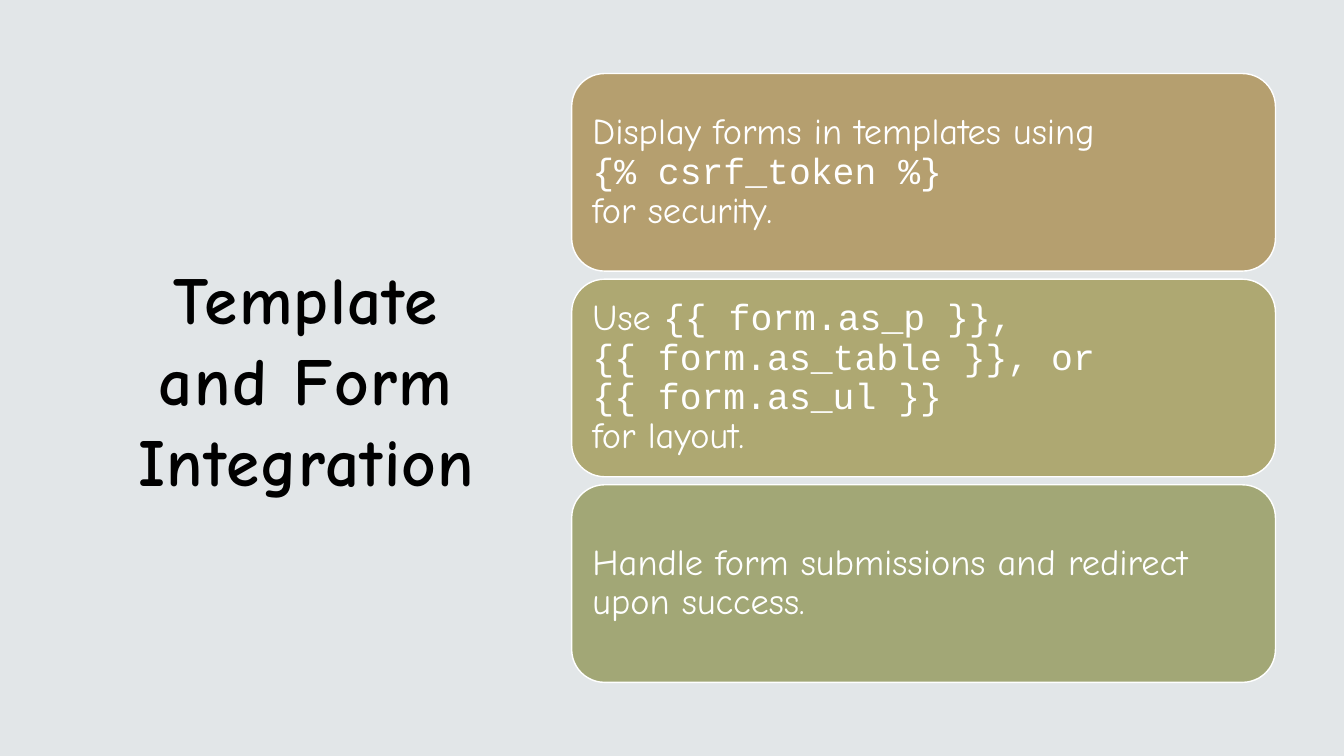
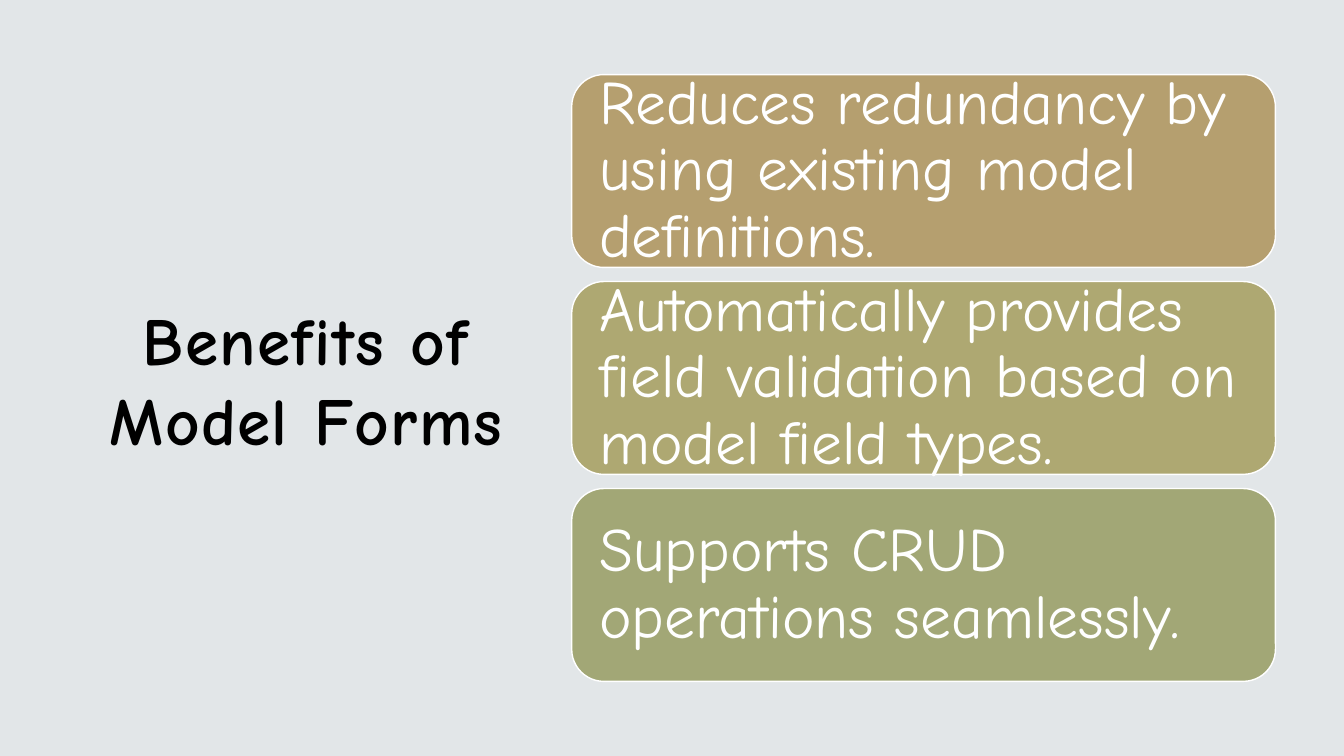
"""Build two slides that each pair a title with a stack of three cards."""
from pptx import Presentation
from pptx.dml.color import RGBColor
from pptx.enum.shapes import MSO_SHAPE
from pptx.enum.text import MSO_ANCHOR, MSO_AUTO_SIZE, PP_ALIGN
from pptx.util import Inches, Pt

COLORS = {
    "background": "E2E6E8",
    "title": "000000",
    "card_text": "FFFFFF",
    "card_border": "FFFFFF",
    "sand": "B59F6F",
    "olive": "AEA872",
    "sage": "A2A776",
}
CARD_FILLS = ("sand", "olive", "sage")
PROSE, CODE = "Comic Neue", "Courier New"
TITLE_BOX = (0.97, 1.07, 4.14, 5.37)

INTEGRATION_CARDS = [
    [
        [("Display forms in templates using", PROSE)],
        [("{% csrf_token %}", CODE)],
        [("for security.", PROSE)],
    ],
    [
        [("Use ", PROSE), ("{{ form.as_p }},", CODE)],
        [("{{ form.as_table }}, or", CODE)],
        [("{{ form.as_ul }}", CODE)],
        [("for layout.", PROSE)],
    ],
    [[("Handle form submissions and redirect upon success.", PROSE)]],
]
BENEFIT_CARDS = [
    [[("Reduces redundancy by using existing model definitions.", PROSE)]],
    [[("Automatically provides field validation based on model field types.", PROSE)]],
    [[("Supports CRUD operations seamlessly.", PROSE)]],
]


def rgb(name):
    """Return the palette colour of that name."""
    return RGBColor.from_string(COLORS[name])


def style_run(run, font, size, color):
    """Give a run its typeface, size and colour."""
    run.font.name = font
    run.font.size = Pt(size)
    run.font.color.rgb = rgb(color)


def place_title(slide, text, box):
    """Write the bold centred title into its placeholder."""
    title = slide.shapes.title
    title.left, title.top, title.width, title.height = map(Inches, box)
    frame = title.text_frame
    frame.text = text
    frame.word_wrap = True
    frame.auto_size = MSO_AUTO_SIZE.NONE
    frame.vertical_anchor = MSO_ANCHOR.MIDDLE
    heading = frame.paragraphs[0]
    heading.alignment = PP_ALIGN.CENTER
    for run in heading.runs:
        style_run(run, PROSE, 48, "title")
        run.font.bold = True
        run.font._element.set("spc", "100")


def write_lines(paragraph, lines, size):
    """Write lines of (text, font) pieces into one paragraph."""
    for index, pieces in enumerate(lines):
        if index:
            paragraph.add_line_break()
        for text, font in pieces:
            run = paragraph.add_run()
            run.text = text
            style_run(run, font, size, "card_text")


def add_card(slide, box, fill, lines, size, inset):
    """Add one rounded card with left-aligned text."""
    card = slide.shapes.add_shape(MSO_SHAPE.ROUNDED_RECTANGLE, *map(Inches, box))
    card.shadow.inherit = False
    card.fill.solid()
    card.fill.fore_color.rgb = rgb(fill)
    card.line.color.rgb = rgb("card_border")
    card.line.width = Pt(1)
    frame = card.text_frame
    frame.word_wrap = True
    frame.vertical_anchor = MSO_ANCHOR.MIDDLE
    frame.margin_left = frame.margin_right = Inches(inset)
    frame.margin_top = frame.margin_bottom = Inches(inset)
    paragraph = frame.paragraphs[0]
    paragraph.alignment = PP_ALIGN.LEFT
    paragraph.line_spacing = 0.9
    write_lines(paragraph, lines, size)


def add_card_stack(slide, box, cards, gap, size, inset):
    """Divide the box into equal cards with equal gaps."""
    left, top, width, height = box
    card_height = (height - gap * (len(cards) - 1)) / len(cards)
    for index, (lines, fill) in enumerate(zip(cards, CARD_FILLS)):
        card_top = top + index * (card_height + gap)
        add_card(slide, (left, card_top, width, card_height), fill, lines, size, inset)


def add_topic_slide(deck, title, cards, stack_box, gap, size, inset):
    """Add a slide with a title on the left and cards on the right."""
    slide = deck.slides.add_slide(deck.slide_layouts[5])
    place_title(slide, title, TITLE_BOX)
    add_card_stack(slide, stack_box, cards, gap, size, inset)


def main():
    """Build and save the deck."""
    deck = Presentation()
    deck.slide_width, deck.slide_height = Inches(13.33), Inches(7.5)
    backdrop = deck.slide_master.background.fill
    backdrop.solid()
    backdrop.fore_color.rgb = rgb("background")
    add_topic_slide(deck, "Template and Form Integration", INTEGRATION_CARDS,
                    stack_box=(5.67, 0.73, 6.98, 6.04), gap=0.08, size=26, inset=0.11)
    add_topic_slide(deck, "Benefits of Model Forms", BENEFIT_CARDS,
                    stack_box=(5.67, 0.74, 6.98, 6.02), gap=0.14, size=44, inset=0.18)
    deck.save("out.pptx")


if __name__ == "__main__":
    main()
